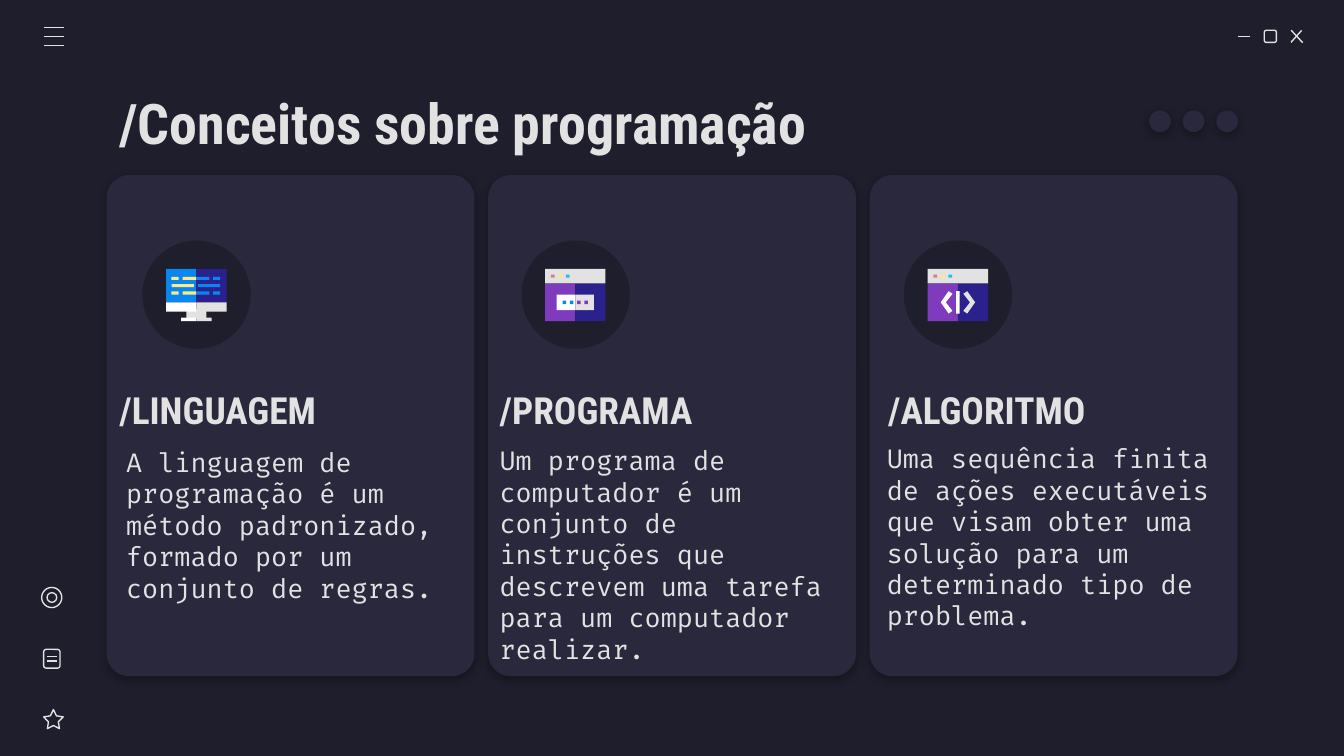
from lxml import etree
from pptx import Presentation
from pptx.dml.color import RGBColor
from pptx.enum.shapes import MSO_CONNECTOR, MSO_SHAPE as Form
from pptx.enum.text import MSO_ANCHOR, PP_ALIGN
from pptx.oxml.ns import qn
from pptx.util import Pt

COLORS = {
    "night": "1E1E2C", "panel": "29283D", "light": "E2E2E2", "white": "FFFFFF",
    "indigo": "2B218D", "purple": "7E3BBE", "blue": "0887F2", "cyan": "24BFEB",
    "yellow": "FFEA7D", "pink": "E07A88", "black": "000000",
}
RGB = {name: RGBColor.from_string(value) for name, value in COLORS.items()}

deck = Presentation()
deck.slide_width, deck.slide_height = Pt(720), Pt(405)
slide = deck.slides.add_slide(deck.slide_layouts[6])
slide.background.fill.solid()
slide.background.fill.fore_color.rgb = RGB["night"]


def add_form(form, box, fill=None, line=None, adjust=None, shadow=False):
    shape = slide.shapes.add_shape(form, *[Pt(v) for v in box])
    shape.shadow.inherit = False
    if fill:
        shape.fill.solid()
        shape.fill.fore_color.rgb = RGB[fill]
    else:
        shape.fill.background()
    if line:
        shape.line.color.rgb = RGB[line]
        shape.line.width = Pt(0.75)
    else:
        shape.line.fill.background()
    if adjust is not None:
        shape.adjustments[0] = adjust
    if shadow:
        effects = shape._element.spPr.find(qn("a:effectLst"))
        outer = etree.SubElement(effects, qn("a:outerShdw"), blurRad=str(Pt(4.5)),
                                 dist=str(Pt(1.5)), dir="5400000", algn="bl", rotWithShape="0")
        tint = etree.SubElement(outer, qn("a:srgbClr"), val=COLORS["black"])
        etree.SubElement(tint, qn("a:alpha"), val="30000")


def add_text(text, box, size, font, bold=False, color="light"):
    frame = slide.shapes.add_textbox(*[Pt(v) for v in box]).text_frame
    frame.word_wrap = True
    frame.vertical_anchor = MSO_ANCHOR.MIDDLE
    frame.margin_left = frame.margin_right = frame.margin_top = frame.margin_bottom = Pt(7.2)
    paragraph = frame.paragraphs[0]
    paragraph.alignment = PP_ALIGN.LEFT
    run = paragraph.add_run()
    run.text = text
    run.font.size, run.font.name, run.font.bold = Pt(size), font, bold
    run.font.color.rgb = RGB[color]


concepts = [
    ("/LINGUAGEM", 56.9, 76.3, (60.5, 241.9, 191.5, 78.5),
     "A linguagem de programação é um método padronizado, formado por um conjunto de regras."),
    ("/PROGRAMA", 260.6, 279.4, (260.6, 257.8, 198, 78.5),
     "Um programa de computador é um conjunto de instruções que descrevem uma tarefa "
     "para um computador realizar."),
    ("/ALGORITMO", 468.7, 484.2, (468, 248.4, 192.2, 78.5),
     "Uma sequência finita de ações executáveis que visam obter uma solução para um "
     "determinado tipo de problema."),
]

for column, (heading, heading_left, badge_left, body_box, body) in enumerate(concepts):
    add_form(Form.ROUNDED_RECTANGLE, (57.1 + column * 204.4, 93.8, 197.1, 268.5),
             "panel", adjust=0.062, shadow=True)
    add_form(Form.OVAL, (badge_left, 128.9, 58, 58), "night")
    add_text(heading, (heading_left, 200.9, 171.4, 36.7), 20, "Roboto Condensed", bold=True)
    add_text(body, body_box, 14, "Fira Code")

add_text("/Conceitos sobre programação", (56.9, 42.5, 615.6, 45.4), 30,
         "Roboto Condensed", bold=True)

for dot in range(3):
    add_form(Form.OVAL, (615.6 + dot * 18, 59.2, 11.6, 11.6), "panel", shadow=True)

outlines = [
    (Form.ROUNDED_RECTANGLE, (677.3, 16.2, 6.5, 6.5), 0.167),
    (Form.OVAL, (22.3, 314.7, 10.8, 10.8), None),
    (Form.OVAL, (25.2, 317.5, 5.2, 5.2), None),
    (Form.ROUNDED_RECTANGLE, (23.4, 347.9, 8.8, 10.1), 0.167),
    (Form.STAR_5_POINT, (23.4, 380.2, 10.5, 10.2), 0.254),
]
for form, box, adjust in outlines:
    add_form(form, box, line="light", adjust=adjust)

strokes = [(663.1, 19.5, 669.6, 19.5), (691.7, 16.2, 697.9, 22.9), (697.3, 16.3, 691.6, 22.7)]
strokes += [(23.4, 14.7 + row * 4.9, 34.1, 14.7 + row * 4.9) for row in range(3)]
strokes += [(25.2, y, 30.4, y) for y in (351.6, 354.2)]
for ends in strokes:
    stroke = slide.shapes.add_connector(MSO_CONNECTOR.STRAIGHT, *[Pt(v) for v in ends])
    stroke.line.color.rgb = RGB["light"]
    stroke.line.width = Pt(0.75)
    etree.SubElement(stroke._element.spPr, qn("a:effectLst"))

monitor = [
    (0, 0, 16.2, 18, "blue"), (16.2, 0, 16.2, 18, "indigo"),
    (10.8, 21.6, 10.8, 5, "light"),
    (8, 26.2, 8.2, 1.9, "white"), (16.2, 26.2, 8.2, 1.9, "light"),
    (0, 18, 16.2, 5, "white"), (16.2, 18, 16.2, 5, "light"),
    (2.9, 8.2, 12, 1.7, "yellow"), (17, 8.2, 12, 1.7, "blue"),
]
for y in (4.3, 12.2):
    monitor += [(2.9, y, 3.8, 1.7, "yellow"), (8.9, y, 7.3, 1.7, "yellow"),
                (16.2, y, 7.1, 1.7, "blue"), (25.2, y, 3.8, 1.7, "blue")]

window = [
    (0, 7.9, 16.2, 20.2, "purple"), (16.2, 7.9, 16.2, 20.2, "indigo"),
    (0, 0, 32.4, 7.9, "light"),
    (3.1, 3.1, 2, 1.7, "pink"), (7.1, 3.1, 2, 1.7, "yellow"), (11.1, 3.1, 2, 1.7, "cyan"),
]
prompt = [(6.2, 13.9, 10, 8.3, "white"), (16.2, 13.9, 10, 8.3, "light")]
prompt += [(9.4 + i * 3.9, 17, 1.9, 1.9, color)
           for i, color in enumerate(("blue", "blue", "purple", "purple"))]
cursor = [(15.2, 12, 1.9, 12, "white")]

icon_top, code_left = 144, 497
for icon_left, pieces in ((89, monitor), (292, window + prompt), (code_left, window + cursor)):
    for x, y, width, height, color in pieces:
        add_form(Form.RECTANGLE, (icon_left + x, icon_top + y, width, height), color)

chevron = [(11.2, 12), (7, 18), (11.2, 24), (13.3, 22.6), (9.7, 18), (13.3, 13.4)]
mirrored = [(32.4 - x, y) for x, y in chevron]
for points, color in ((chevron, "white"), (mirrored, "light")):
    corners = [(Pt(code_left + x), Pt(icon_top + y)) for x, y in points]
    builder = slide.shapes.build_freeform(*corners[0])
    builder.add_line_segments(corners[1:], close=True)
    bracket = builder.convert_to_shape()
    bracket.shadow.inherit = False
    bracket.fill.solid()
    bracket.fill.fore_color.rgb = RGB[color]
    bracket.line.fill.background()

deck.save("out.pptx")
